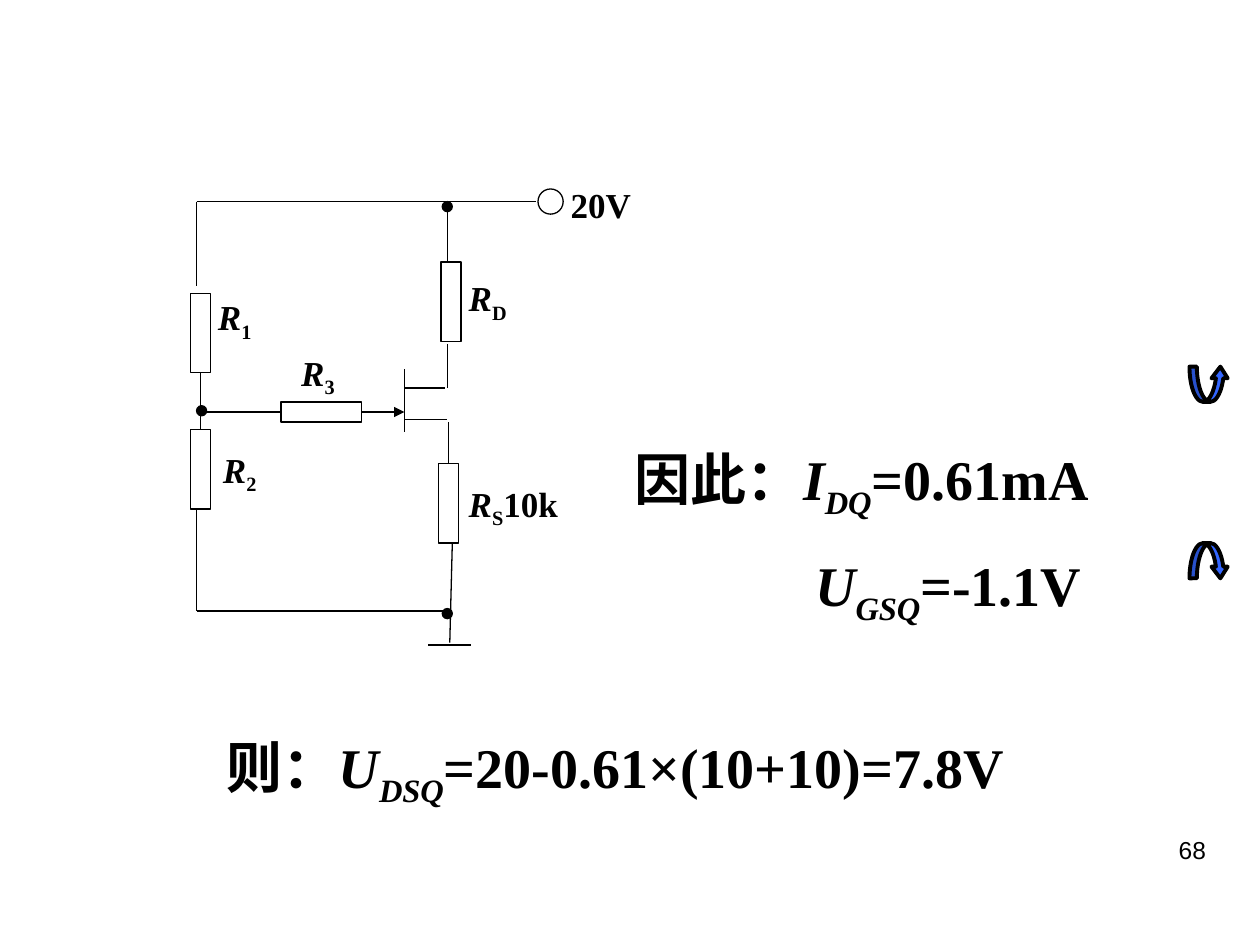
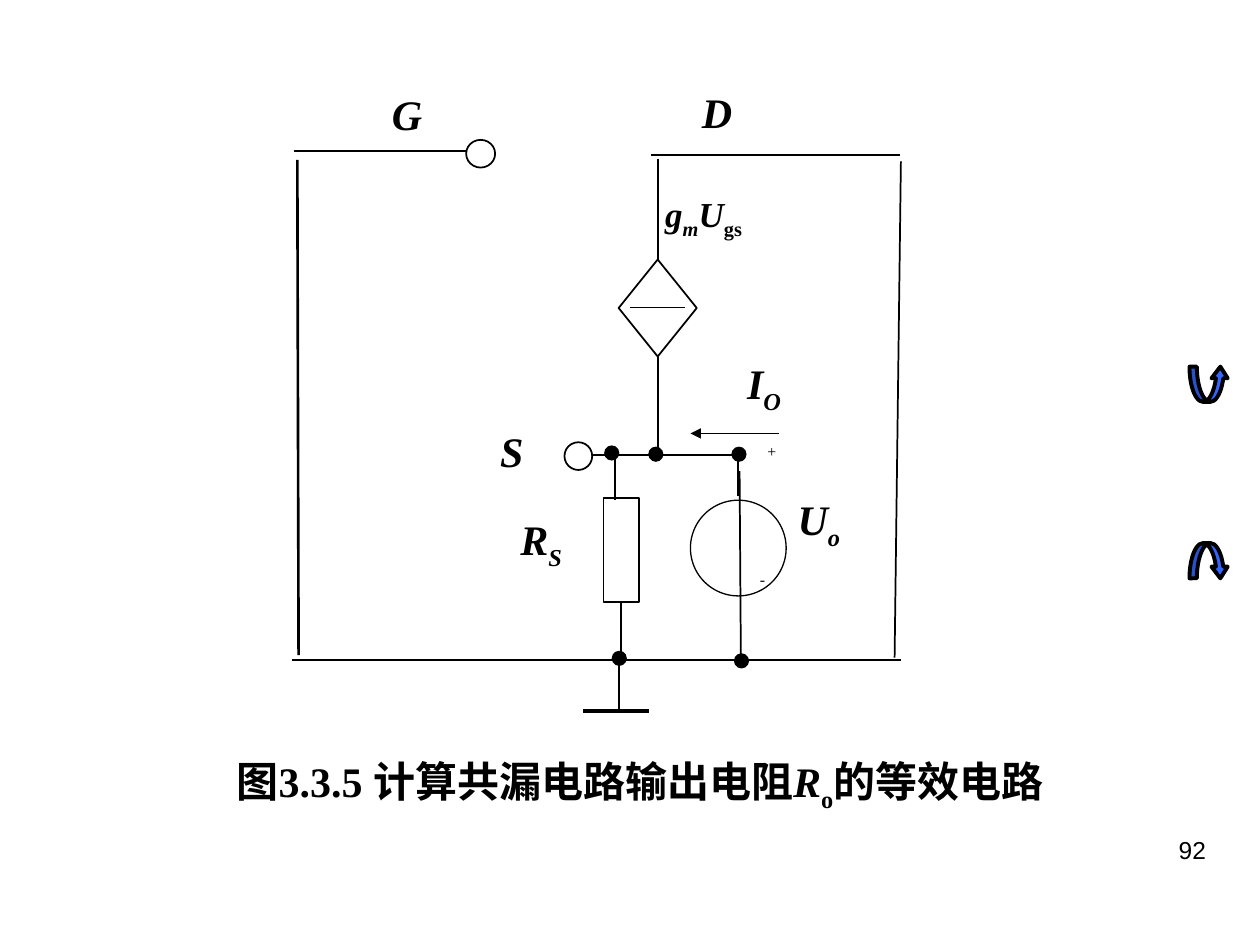
from lxml import etree
from pptx import Presentation
from pptx.dml.color import RGBColor
from pptx.enum.shapes import MSO_CONNECTOR, MSO_SHAPE
from pptx.enum.text import PP_ALIGN
from pptx.oxml.ns import qn
from pptx.util import Inches, Pt

RECTANGLE, OVAL, DIAMOND = MSO_SHAPE.RECTANGLE, MSO_SHAPE.OVAL, MSO_SHAPE.DIAMOND
UP_ARROW, DOWN_ARROW = MSO_SHAPE.CURVED_UP_ARROW, MSO_SHAPE.CURVED_DOWN_ARROW
STRAIGHT = MSO_CONNECTOR.STRAIGHT
LEFT_ALIGNED, RIGHT_ALIGNED = PP_ALIGN.LEFT, PP_ALIGN.RIGHT
TOP, LEFT, BOTTOM, RIGHT = range(4)

COLORS = {"ink": "000000", "paper": "FFFFFF", "arrow": "3366FF"}
SERIF, SANS = "Times New Roman", "Arial"
# The slide is a grid of 100 columns by 75 rows; every box and point is in cells.
COLUMNS, ROWS = 100, 75
CELL = Inches(0.1)


def add_part(slide, preset, box, fill="paper", line=0.75):
    """Add a preset shape; fill or line may be None."""
    shape = slide.shapes.add_shape(preset, *[round(CELL * value) for value in box])
    shape.shadow.inherit = False
    if fill:
        shape.fill.solid()
        shape.fill.fore_color.rgb = RGBColor.from_string(COLORS[fill])
    else:
        shape.fill.background()
    if line:
        shape.line.color.rgb = RGBColor.from_string(COLORS["ink"])
        shape.line.width = Pt(line)
    else:
        shape.line.fill.background()
    return shape


def write(slide, box, runs, size=20, bold=True, font=SERIF, align=LEFT_ALIGNED,
          inset=0, spacing=1.15):
    """Write (text, style) runs; in a style, i is italic and s is subscript."""
    frame = slide.shapes.add_textbox(*[round(CELL * value) for value in box]).text_frame
    frame.word_wrap = True
    frame.margin_left = frame.margin_right = round(CELL * inset)
    frame.margin_top = frame.margin_bottom = round(CELL * inset / 2)
    paragraph = frame.paragraphs[0]
    paragraph.alignment = align
    paragraph.line_spacing = spacing
    for text, style in runs:
        run = paragraph.add_run()
        run.text = text
        run.font.size, run.font.name = Pt(size), font
        run.font.bold, run.font.italic = bold, "i" in style
        run.font.color.rgb = RGBColor.from_string(COLORS["ink"])
        if "s" in style:
            run._r.get_or_add_rPr().set("baseline", "-25000")


bias_circuit = {
    "number": "68",
    # name: preset, box, fill, line width
    "parts": {
        "R1": (RECTANGLE, (15.1, 23.3, 1.6, 6.3), "paper", 0.75),
        "R2": (RECTANGLE, (15.1, 34.1, 1.6, 6.3), "paper", 0.75),
        "R3": (RECTANGLE, (22.3, 31.9, 6.4, 1.6), "paper", 0.75),
        "RD": (RECTANGLE, (35, 20.8, 1.6, 6.3), "paper", 0.75),
        "RS": (RECTANGLE, (34.8, 36.8, 1.6, 6.3), "paper", 0.75),
        "supply": (OVAL, (42.7, 15, 2, 2), "paper", 0.75),
    },
    # start, end, width, arrowhead; an end is a point or a side of a part
    "wires": [
        (("R1", BOTTOM), ("R2", TOP), 0.75, False),
        ((15.8, 32.7), ("R3", LEFT), 0.75, False),
        (("R3", RIGHT), (32.1, 32.7), 0.75, True),
        ((32.1, 29.3), (32.1, 34.3), 0.75, False),
        ((32.1, 33.3), (35.5, 33.3), 0.75, False),
        ((35.6, 33.5), ("RS", TOP), 0.75, False),
        ((32.1, 30.8), (35.3, 30.8), 0.75, False),
        ((35.5, 27.3), (35.5, 30.8), 0.75, False),
        ((15.6, 16), (42.5, 16), 0.75, False),
        ((15.6, 16), (15.6, 22.7), 0.75, False),
        ((35.5, 16), (35.5, 20.8), 0.75, False),
        ((15.6, 48.5), (35.9, 48.5), 0.75, False),
        ((35.9, 43.1), (35.7, 51), 0.75, False),
        ((15.6, 40.4), (15.6, 48.5), 0.75, False),
        ((34, 51.2), (37.4, 51.2), 1.5, False),
    ],
    "node_size": 0.8,
    "nodes": [(35.1, 48.3), (35.1, 16), (15.6, 32.2)],
    # box, runs, format
    "labels": [
        ((17.3, 22.9, 4, 5), [("R", "i"), ("1", "s")], {}),
        ((17.7, 35, 4, 5), [("R", "i"), ("2", "s")], {}),
        ((23.9, 27.3, 4, 5), [("R", "i"), ("3", "s")], {}),
        ((37.2, 21.4, 4, 5), [("R", "i"), ("D", "s")], {}),
        ((37.2, 37.7, 10, 5), [("R", "i"), ("S", "s"), ("10k", "")], {}),
        ((45.3, 14.1, 6.4, 5), [("20V", "")], {}),
        ((17, 56.7, 69.7, 8),
         [("则：", ""), ("U", "i"), ("DSQ", "is"), ("=20-0.61×(10+10)=7.8V", "")],
         {"size": 32, "inset": 1}),
        ((49.4, 33.9, 39.1, 8),
         [("因此：", ""), ("I", "i"), ("DQ", "is"), ("=0.61mA", "")],
         {"size": 32, "inset": 1}),
        ((63.7, 42.3, 24.8, 8),
         [("U", "i"), ("GSQ", "is"), ("=-1.1V", "")],
         {"size": 32, "inset": 1}),
    ],
}

output_circuit = {
    "number": "92",
    "parts": {
        "panel": (RECTANGLE, (23, 6.3, 48.7, 50.5), "paper", None),
        "gate": (OVAL, (37, 11.1, 2.3, 2.2), "paper", 1),
        "current source": (DIAMOND, (49.1, 20.6, 6.2, 7.7), "paper", 1),
        "source": (OVAL, (44.8, 35.1, 2.2, 2.2), "paper", 1),
        "RS": (RECTANGLE, (47.9, 39.5, 2.8, 8.3), "paper", 1),
        "Uo": (OVAL, (54.8, 39.7, 7.6, 7.6), None, 0.75),
    },
    "wires": [
        ((23.3, 12), (37, 12), 1, False),
        ((50, 24.4), (54.4, 24.4), 1, False),
        ((52.2, 12.6), ("current source", TOP), 1, False),
        (("current source", BOTTOM), (52.2, 36.2), 1, False),
        ((23.2, 52.4), (71.5, 52.4), 1, False),
        ((51.7, 12.3), (71.4, 12.3), 1, False),
        ((58.5, 36.1), (47, 36.1), 1, False),
        (("RS", BOTTOM), (49.3, 52), 1, False),
        ((48.8, 36), (48.8, 39.7), 1, False),
        ((71.5, 12.8), (71, 52.2), 1, False),
        ((58.7, 37.4), (58.8, 52.3), 1, False),
        ((58.6, 36.2), (58.6, 39.4), 1, False),
        ((46.3, 56.4), (51.5, 56.4), 2.25, False),
        ((49.1, 52.2), (49.1, 56.4), 1, False),
        ((23.6, 12.7), (23.7, 52), 1.5, False),
        ((61.8, 34.4), (54.8, 34.4), 0.75, True),
    ],
    "node_size": 1.1,
    "nodes": [(51.5, 35.5), (48.6, 51.7), (58.1, 35.5), (58.3, 51.9), (48, 35.4)],
    "labels": [
        ((17.8, 59.5, 68.1, 9.6),
         [("图3.3.5 计算共漏电路输出电阻", ""), ("R", "i"), ("o", "s"), ("的等效电路", "")],
         {"size": 24, "inset": 1, "spacing": 1}),
        ((52.8, 14.7, 12.7, 8), [("g", "i"), ("m", "is"), ("U", "i"), ("gs", "s")], {}),
        ((31.1, 6.4, 5.9, 9.4), [("G", "i")], {"size": 24}),
        ((39.7, 33.2, 5.9, 5.8), [("S", "i")], {"size": 24}),
        ((55.7, 6.3, 5.9, 9.4), [("D", "i")], {"size": 24}),
        ((41.3, 40.1, 7.9, 8.1), [("R", "i"), ("S", "is")], {"size": 24}),
        ((63.3, 38.5, 5.9, 9.4), [("U", "i"), ("o", "is")], {"size": 24}),
        ((59.3, 27.7, 8.8, 6.4), [("I", "i"), ("O", "is")], {"size": 24}),
        ((60.9, 34.8, 4.1, 6.8), [("+", "")], {"size": 9, "bold": False}),
        ((60.3, 45, 4.1, 6.8), [("-", "")], {"size": 9, "bold": False}),
    ],
}

presentation = Presentation()
presentation.slide_width, presentation.slide_height = CELL * COLUMNS, CELL * ROWS
blank_layout = presentation.slide_layouts[6]

for circuit in (bias_circuit, output_circuit):
    slide = presentation.slides.add_slide(blank_layout)

    for preset, top in ((DOWN_ARROW, 43.1), (UP_ARROW, 29.1)):
        arrow = add_part(slide, preset, (94.4, top, 3.1, 2.8), "arrow", 2.25)
        for index, share in enumerate((0.21, 0.46, 0.33)):
            arrow.adjustments[index] = share
    write(slide, (71.7, 65.8, 25, 5.2), [(circuit["number"], "")], size=14,
          bold=False, font=SANS, align=RIGHT_ALIGNED, inset=1, spacing=1)

    parts = {name: add_part(slide, *part) for name, part in circuit["parts"].items()}

    for start, end, width, has_arrowhead in circuit["wires"]:
        wire = slide.shapes.add_connector(STRAIGHT, 0, 0, 0, 0)
        if start[0] in parts:
            wire.begin_connect(parts[start[0]], start[1])
        else:
            wire.begin_x, wire.begin_y = [round(CELL * value) for value in start]
        if end[0] in parts:
            wire.end_connect(parts[end[0]], end[1])
        else:
            wire.end_x, wire.end_y = [round(CELL * value) for value in end]
        wire.line.color.rgb = RGBColor.from_string(COLORS["ink"])
        wire.line.width = Pt(width)
        if has_arrowhead:
            etree.SubElement(wire.line._get_or_add_ln(), qn("a:tailEnd"), type="triangle")
        etree.SubElement(wire._element.spPr, qn("a:effectLst"))

    for left, top in circuit["nodes"]:
        add_part(slide, OVAL, (left, top, circuit["node_size"], circuit["node_size"]), "ink")

    for box, runs, text_format in circuit["labels"]:
        write(slide, box, runs, **text_format)

presentation.save("out.pptx")
